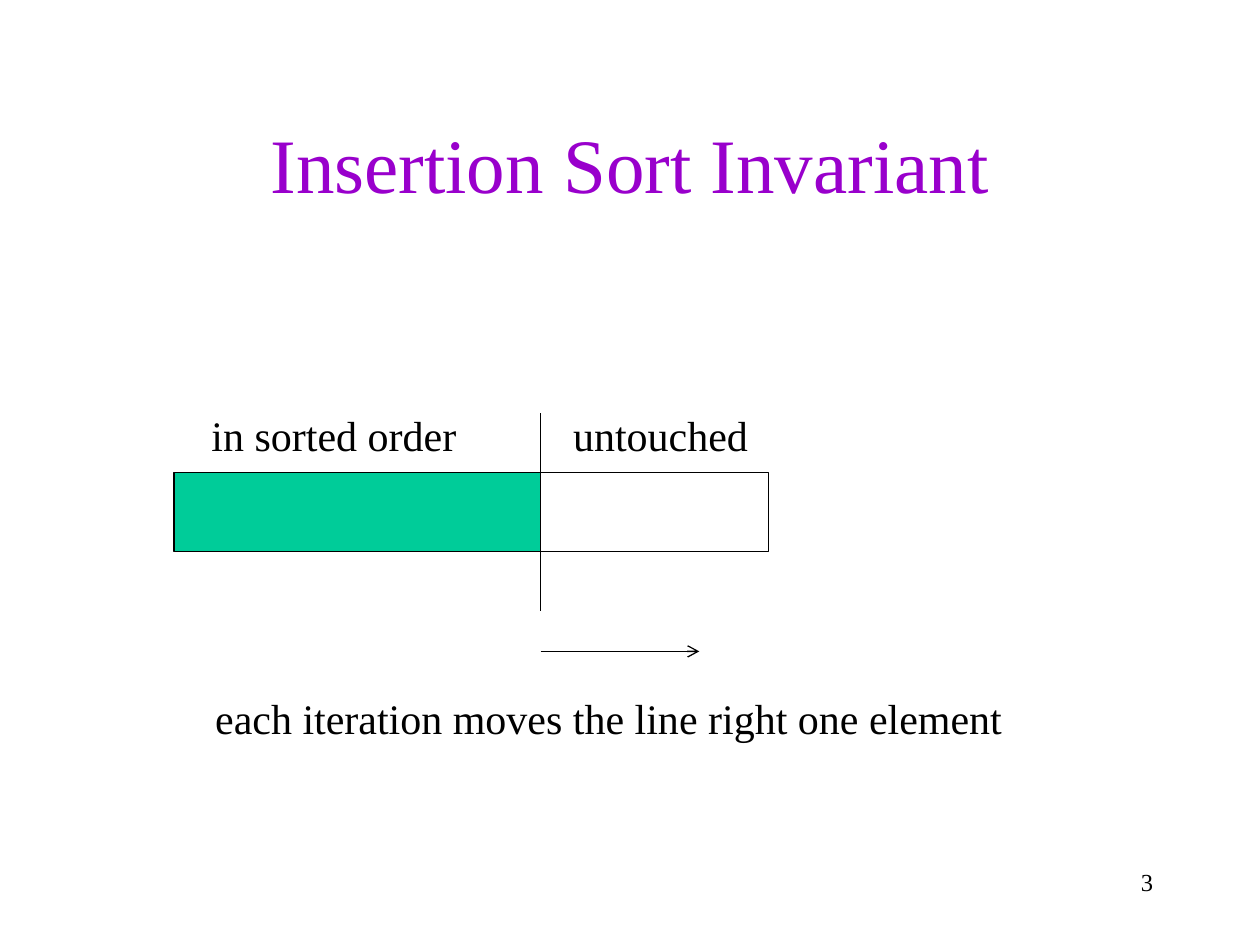
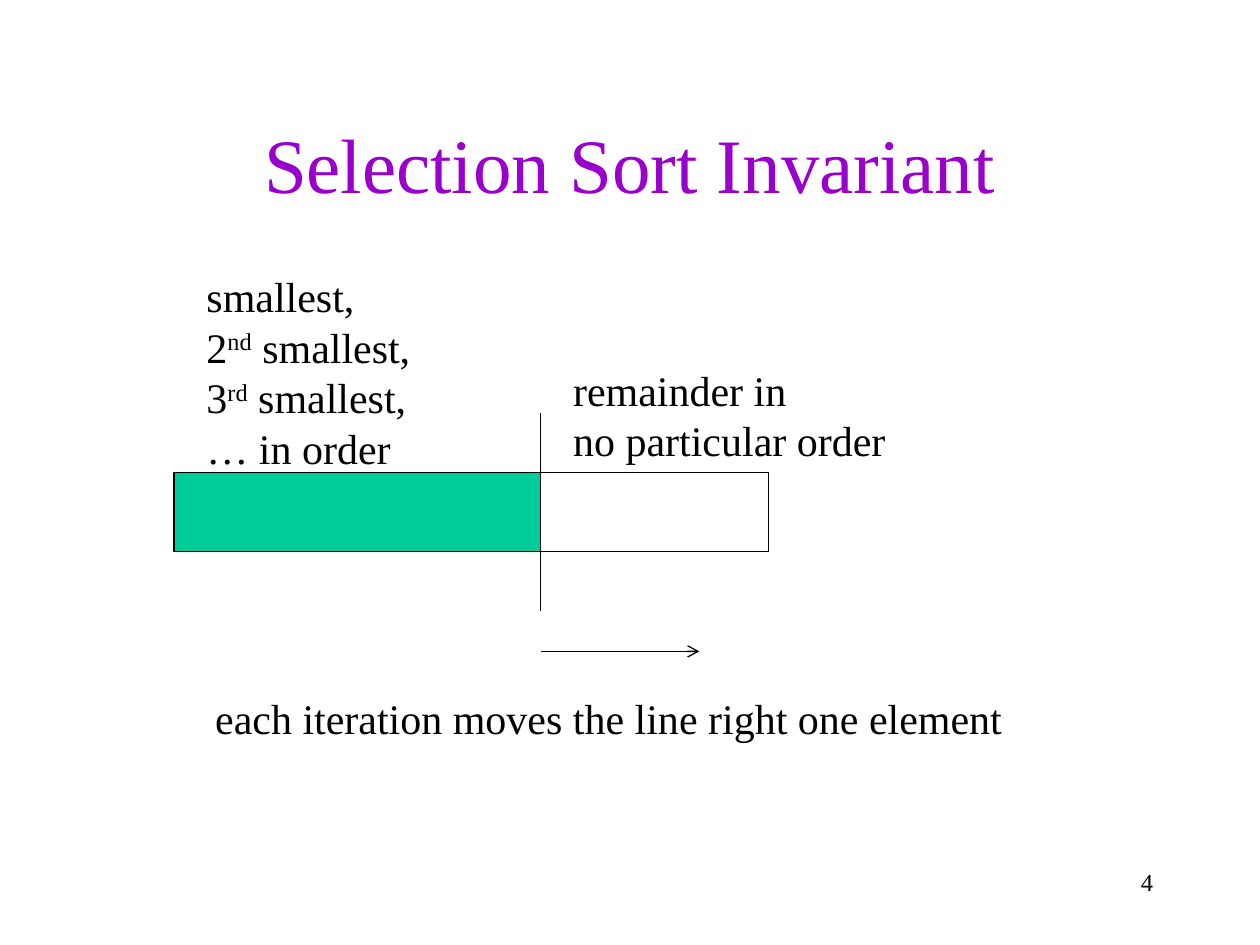
from lxml import etree
from pptx import Presentation
from pptx import util as u
from pptx.dml.color import RGBColor
from pptx.enum import shapes, text
from pptx.oxml import ns

PX = 9144  # 100 px to the inch
FONT = "Times New Roman"
COLOURS = {"title": "9900CC", "ink": "000000", "done": "00CC99", "rest": "FFFFFF"}
SORTED_WIDTH, REST_WIDTH, BAR_HEIGHT = 291, 181, 63
DIAGRAM_BOX = (138, 375)
TITLE_BOX = (75, 67, 850, 125)
NUMBER_BOX = (717, 683, 208, 50)


def px(*lengths):
    return [u.Emu(length * PX) for length in lengths]


def colour(name):
    return RGBColor.from_string(COLOURS[name])


def write(paragraph, lines, size, ink="ink"):
    """Fill a paragraph with lines, each a list of (words, raised) runs."""
    for index, line in enumerate(lines):
        if index:
            paragraph.add_line_break()
        for words, raised in line:
            run = paragraph.add_run()
            run.text = words
            run.font.name, run.font.size = FONT, u.Pt(size)
            run.font.color.rgb = colour(ink)
            if raised:
                run.font._element.set("baseline", "30000")


def plain(*lines):
    return [[(line, False)] for line in lines]


def add_label(slide, box, lines):
    frame = slide.shapes.add_textbox(*px(*box)).text_frame
    frame.word_wrap = False
    frame.auto_size = text.MSO_AUTO_SIZE.SHAPE_TO_FIT_TEXT
    write(frame.paragraphs[0], lines, 24)


def add_bar(slide, box, fill):
    bar = slide.shapes.add_shape(shapes.MSO_SHAPE.RECTANGLE, *px(*box))
    bar.shadow.inherit = False
    bar.fill.solid()
    bar.fill.fore_color.rgb = colour(fill)
    bar.line.color.rgb = colour("ink")
    bar.line.width = u.Pt(0.75)


def add_line(slide, start, end, arrow=False):
    line = slide.shapes.add_connector(
        shapes.MSO_CONNECTOR.STRAIGHT, *px(*start, *end))
    line.line.color.rgb = colour("ink")
    line.line.width = u.Pt(0.75)
    if arrow:
        etree.SubElement(line.line._get_or_add_ln(), ns.qn("a:tailEnd"), type="arrow")
    etree.SubElement(line._element.spPr, ns.qn("a:effectLst"))


def add_heading(slide, words, number):
    # Title
    title = slide.shapes.title
    title.left, title.top, title.width, title.height = px(*TITLE_BOX)
    title.text_frame.vertical_anchor = text.MSO_ANCHOR.MIDDLE
    paragraph = title.text_frame.paragraphs[0]
    paragraph.alignment = text.PP_ALIGN.CENTER
    write(paragraph, plain(words), 44, "title")

    # Slide number
    frame = slide.shapes.add_textbox(*px(*NUMBER_BOX)).text_frame
    frame.word_wrap = True
    frame.paragraphs[0].alignment = text.PP_ALIGN.RIGHT
    write(frame.paragraphs[0], plain(str(number)), 14)


def add_diagram(slide, box, labels):
    """Draw the array; label offsets count from its top left corner."""
    left, top = box
    border = left + SORTED_WIDTH

    # Array in two parts
    add_bar(slide, (left, top, SORTED_WIDTH, BAR_HEIGHT), "done")
    add_bar(slide, (border, top, REST_WIDTH, BAR_HEIGHT), "rest")

    # Border line and its direction
    add_line(slide, (border, top - 47), (border, top + 110))
    add_line(slide, (border, top + 142), (border + 126, top + 142), arrow=True)

    # Labels and caption
    caption = ((23, 170, 664, 50),
               plain("each iteration moves the line right one element"))
    for (x, y, width, height), lines in [*labels, caption]:
        add_label(slide, (left + x, top + y, width, height), lines)


INVARIANTS = [
    ("Insertion Sort Invariant", [
        ((20, -55, 216, 50), plain("in sorted order")),
        ((307, -55, 160, 50), plain("untouched")),
    ]),
    ("Selection Sort Invariant", [
        ((16, -165, 195, 172), [
            [("smallest,", False)],
            [("2", False), ("nd", True), (" smallest,", False)],
            [("3", False), ("rd", True), (" smallest,", False)],
            [("… in order", False)],
        ]),
        ((307, -91, 270, 91), plain("remainder in", "no particular order")),
    ]),
]


def main():
    prs = Presentation()
    prs.slide_width, prs.slide_height = px(1000, 750)
    title_only = prs.slide_layouts[5]
    for number, (heading, labels) in enumerate(INVARIANTS, start=3):
        slide = prs.slides.add_slide(title_only)
        add_heading(slide, heading, number)
        add_diagram(slide, DIAGRAM_BOX, labels)
    prs.save("out.pptx")


if __name__ == "__main__":
    main()
